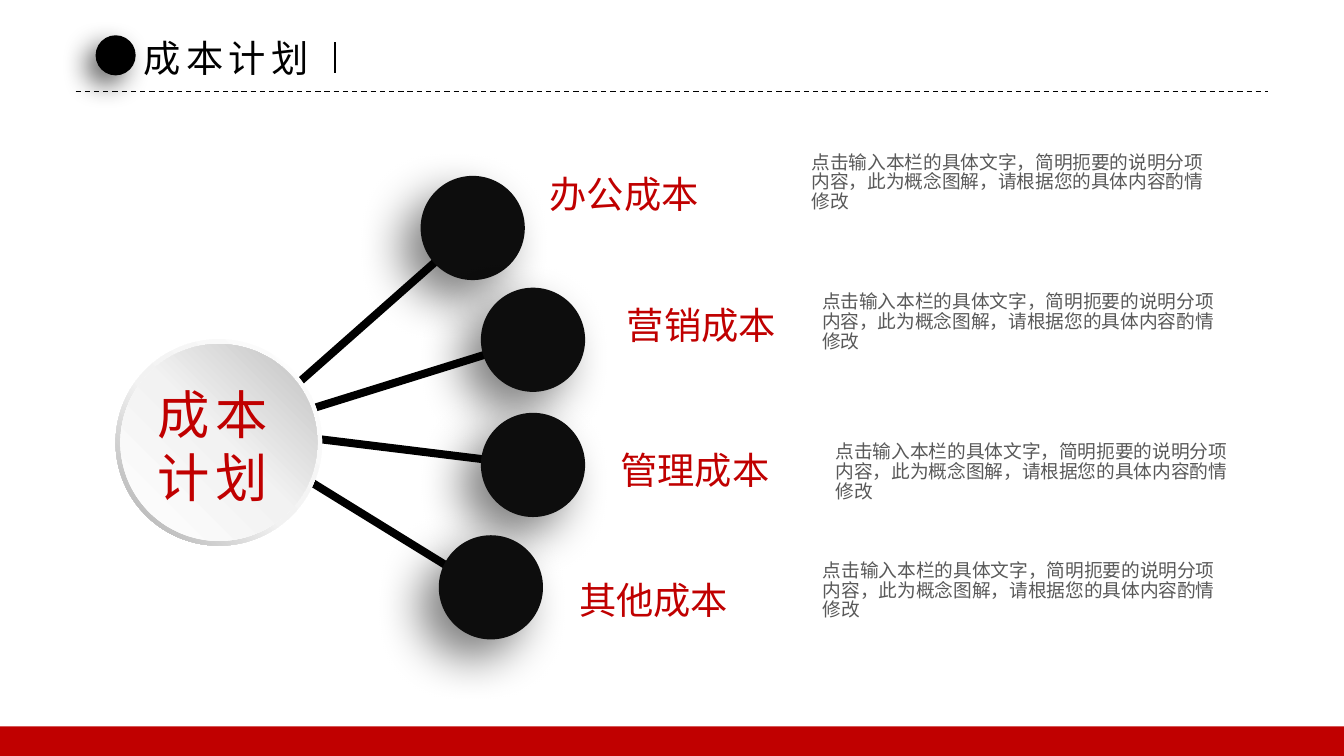
from copy import deepcopy

from lxml.etree import SubElement
from pptx import Presentation
from pptx.dml.color import RGBColor
from pptx.enum.dml import MSO_LINE
from pptx.enum.shapes import MSO_CONNECTOR, MSO_SHAPE
from pptx.enum.text import MSO_ANCHOR, MSO_AUTO_SIZE, PP_ALIGN
from pptx.oxml.ns import qn
from pptx.util import Pt

FACE = "Noto Sans CJK SC"
BLACK = RGBColor(0x00, 0x00, 0x00)
COAL = RGBColor(0x0D, 0x0D, 0x0D)
RED = RGBColor(0xC0, 0x00, 0x00)
GREY = RGBColor(0x59, 0x59, 0x59)
WHITE = RGBColor(0xFF, 0xFF, 0xFF)
PALE = RGBColor(0xF2, 0xF2, 0xF2)
SILVER = RGBColor(0xBF, 0xBF, 0xBF)
STEEL = RGBColor(0xA6, 0xA6, 0xA6)

WIDE, HIGH = 1012.3, 569.5
NODE = 78.5
NOTE = "点击输入本栏的具体文字，简明扼要的说明分项内容，此为概念图解，请根据您的具体内容酌情修改"

# Name, spoke ends, node corner, label corner, note corner
COSTS = [
    ("办公成本", (189.4, 319.7, 356.4, 172.1), (316.8, 132.5), (406.8, 125.3), (611.3, 115.2)),
    ("营销成本", (180.7, 324.7, 391, 259.2), (362.2, 216.7), (465.1, 223.9), (619.2, 220.3)),
    ("管理成本", (149.8, 319.7, 401.8, 350.6), (362.2, 311), (460.1, 333.4), (629.3, 333.4)),
    ("其他成本", (149.8, 311, 380.9, 453.6), (330.5, 403.2), (429.1, 431.3), (619.9, 422.6)),
]


def set_all(item, values):
    for key, value in values.items():
        setattr(item, key, value)


class Board:
    frame = {"word_wrap": False, "auto_size": MSO_AUTO_SIZE.SHAPE_TO_FIT_TEXT,
             "vertical_anchor": MSO_ANCHOR.TOP,
             "margin_left": Pt(7.2), "margin_right": Pt(7.2),
             "margin_top": Pt(3.6), "margin_bottom": Pt(3.6)}
    bare = {"word_wrap": True, "margin_left": 0, "margin_right": 0,
            "margin_top": 0, "margin_bottom": 0}

    def __init__(self, slide):
        self.slide = slide
        self.area = slide.shapes

    def group(self):
        self.area = self.slide.shapes.add_group_shape().shapes

    def ungroup(self):
        self.area = self.slide.shapes

    def line(self, x1, y1, x2, y2, width, dash=None):
        link = self.area.add_connector(MSO_CONNECTOR.STRAIGHT, Pt(x1), Pt(y1), Pt(x2), Pt(y2))
        set_all(link.line, {"width": Pt(width), "dash_style": dash})
        link.line.color.rgb = BLACK
        SubElement(link._element.spPr, qn("a:effectLst"))

    def shape(self, kind, x, y, w, h, color=None):
        form = self.area.add_shape(kind, Pt(x), Pt(y), Pt(w), Pt(h))
        form.shadow.inherit = False
        form.line.fill.background()
        if color is not None:
            form.fill.solid()
            form.fill.fore_color.rgb = color
        return form

    def ball(self, x, y, size, color, alpha, blur, dist):
        form = self.shape(MSO_SHAPE.OVAL, x, y, size, size, color)
        effect = form._element.spPr.find(qn("a:effectLst"))
        shade = SubElement(effect, qn("a:outerShdw"), blurRad=str(Pt(blur)), dist=str(Pt(dist)),
                           dir="8100000", algn="ctr", rotWithShape="0")
        tone = SubElement(shade, qn("a:srgbClr"), val=str(BLACK))
        SubElement(tone, qn("a:alpha"), val=str(alpha * 1000))

    def blend(self, kind, x, y, size, stops, angle):
        form = self.shape(kind, x, y, size, size)
        form.fill.gradient()
        form.fill.gradient_angle = angle
        marks = form._element.spPr.find(".//" + qn("a:gsLst"))
        marks.append(deepcopy(marks[0]))
        for mark, (place, color) in zip(form.fill.gradient_stops, stops):
            mark.position = place
            mark.color.rgb = color
        return form

    def fill_in(self, box, lines, size, color, gap=0, frame=None, para=None):
        text = box.text_frame
        set_all(text, {**self.frame, **(frame or {})})
        text.text = "\n".join(lines)
        for part in text.paragraphs:
            set_all(part, {"alignment": PP_ALIGN.LEFT, **(para or {})})
            run = part.runs[0]
            set_all(run.font, {"size": Pt(size), "name": FACE})
            run.font.color.rgb = color
            props = run.font._element
            SubElement(props, qn("a:ea"), typeface=FACE)
            if gap:
                props.set("spc", str(round(gap * 100)))

    def text(self, x, y, w, h, *args, **more):
        self.fill_in(self.area.add_textbox(Pt(x), Pt(y), Pt(w), Pt(h)), *args, **more)

    def title(self, x, y, w, h, *args, **more):
        head = self.slide.shapes.title
        set_all(head, {"left": Pt(x), "top": Pt(y), "width": Pt(w), "height": Pt(h)})
        self.fill_in(head, *args, **more)


def main():
    deck = Presentation()
    set_all(deck, {"slide_width": Pt(WIDE), "slide_height": Pt(HIGH)})
    board = Board(deck.slides.add_slide(deck.slide_layouts[5]))

    # Spokes, behind hub and nodes
    for _, ends, *_ in COSTS:
        board.line(*ends, 6)

    # Hub
    board.group()
    ring = board.blend(MSO_SHAPE.DONUT, 87.1, 255.6, 155.5,
                       [(0, WHITE), (0.55, PALE), (1, STEEL)], 225)
    ring.adjustments[0] = 0.049
    board.blend(MSO_SHAPE.OVAL, 90.7, 259.2, 148.3,
                [(0, WHITE), (0.51, PALE), (1, SILVER)], 45)
    board.text(111.6, 284.4, 102.2, 103, ["成本", "计划"], 39.4, RED, gap=4.2)
    board.ungroup()

    # Nodes with labels and notes
    for name, _, node, label, note in COSTS:
        board.ball(*node, NODE, COAL, 50, 35, 20)
        board.text(*label, 128.2, 41, [name], 28.1, RED)
        board.text(*note, 295.2, 45.4, [NOTE], 14.1, GREY, frame=board.bare,
                   para={"alignment": PP_ALIGN.JUSTIFY, "line_spacing": Pt(15)})

    # Header
    board.line(56.9, 69.1, 955.4, 69.1, 1, MSO_LINE.DASH)
    board.ball(72, 26.6, 30.2, BLACK, 60, 20, 10)
    board.title(100.8, 23, 145.4, 41, ["成本计划"], 28.1, BLACK, gap=4.2)
    board.line(252, 31.7, 252, 54.7, 1.5)

    # Footer band
    board.shape(MSO_SHAPE.RECTANGLE, 0, 547.2, WIDE, HIGH - 547.2, RED)

    deck.save("out.pptx")


if __name__ == "__main__":
    main()
